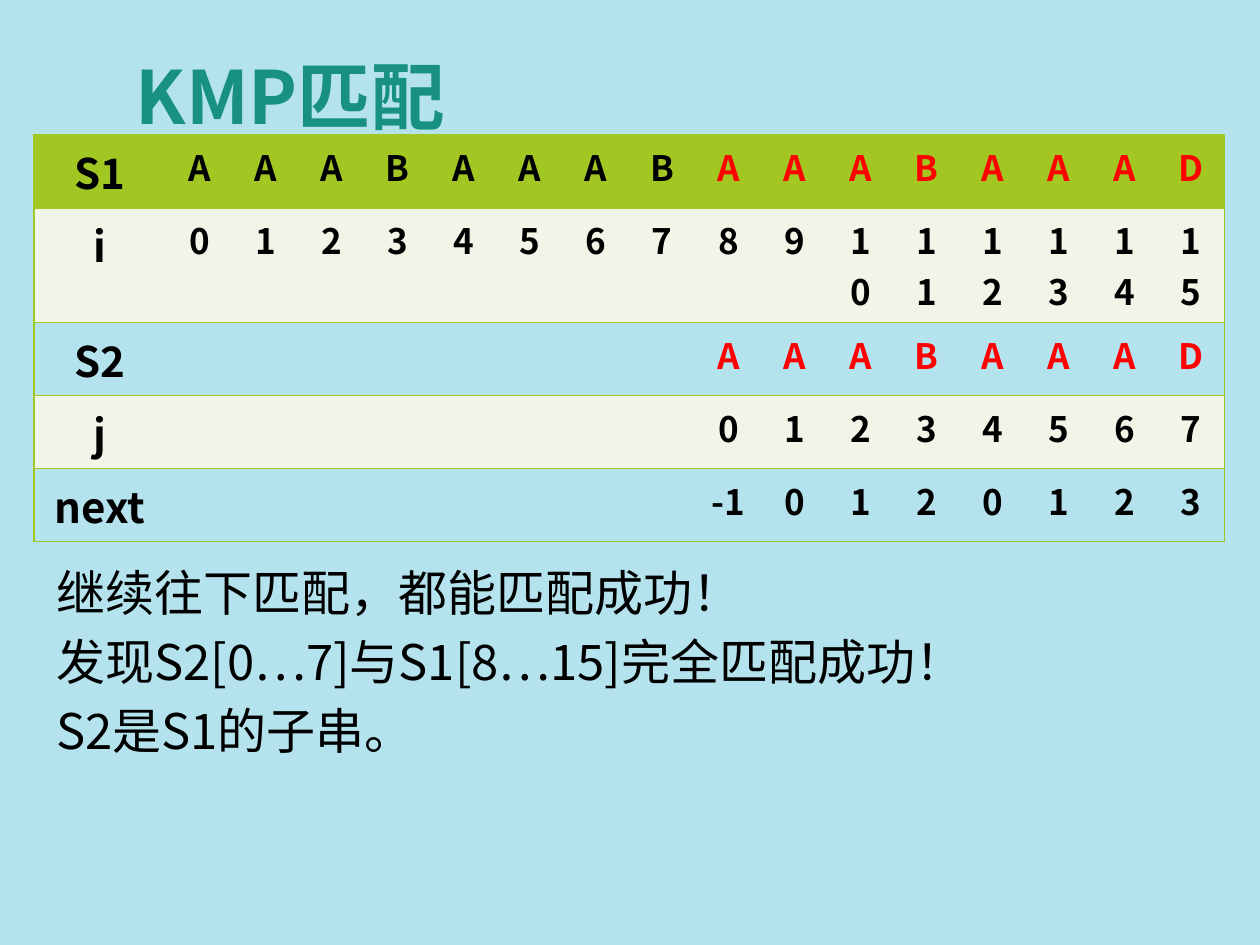
from lxml import etree
from pptx import Presentation
from pptx import util as u
from pptx.dml.color import RGBColor
from pptx.enum import text
from pptx.oxml.ns import qn

FONT = "Noto Sans CJK SC"
COLORS = {
    "background": "B4E3EE",
    "title": "189180",
    "text": "000000",
    "match": "FF0000",
    "header": "A2C722",
    "band": "F0F5E8",
}
NO_STYLE_NO_GRID = "{2D5ABB26-0587-4C30-8999-92F81FD0307C}"
MATCH_START = 8
S1 = "AAABAAABAAABAAAD"
S2 = "AAABAAAD"
NEXT = [-1, 0, 1, 2, 0, 1, 2, 3]
LEAD = [""] * MATCH_START

# label, values, fill, whether the matched part is highlighted
ROWS = [
    ("S1", list(S1), "header", True),
    ("i", range(len(S1)), "band", False),
    ("S2", LEAD + list(S2), "background", True),
    ("j", LEAD + list(range(len(S2))), "band", False),
    ("next", LEAD + NEXT, "background", False),
]
ROW_HEIGHTS = [0.58, 0.91, 0.58, 0.58, 0.58]
CONCLUSIONS = [
    "继续往下匹配，都能匹配成功！",
    "发现S2[0…7]与S1[8…15]完全匹配成功！",
    "S2是S1的子串。",
]


def rgb(name):
    return RGBColor.from_string(COLORS[name])


class SlideBuilder:
    """Holds the text style and the slide being drawn."""

    def __init__(self, slide, font):
        self.slide = slide
        self.font = font

    def background(self, color):
        fill = self.slide.background.fill
        fill.solid()
        fill.fore_color.rgb = rgb(color)

    def run(self, paragraph, words, size, color="text", bold=False):
        run = paragraph.add_run()
        run.text = words
        run.font.size = u.Pt(size)
        run.font.bold = bold
        run.font.color.rgb = rgb(color)
        run.font.name = self.font
        east_asian = etree.SubElement(run.font._element, qn("a:ea"))
        east_asian.set("typeface", self.font)

    def text_box(self, box, lines, size, color="text", bold=False,
                 anchor=text.MSO_ANCHOR.TOP, line_spacing=None):
        shape = self.slide.shapes.add_textbox(*map(u.Inches, box))
        frame = shape.text_frame
        frame.word_wrap = True
        frame.vertical_anchor = anchor
        for index, line in enumerate(lines):
            paragraph = frame.add_paragraph() if index else frame.paragraphs[0]
            if line_spacing:
                paragraph.line_spacing = u.Pt(line_spacing)
            self.run(paragraph, line, size, color, bold)

    def border(self, cell, sides, color):
        """Draw 1 pt lines on the given sides, which must be in the order L, R, T, B."""
        properties = cell._tc.get_or_add_tcPr()
        for side in sides:
            line = etree.SubElement(properties, qn("a:ln" + side), w=str(u.Pt(1)))
            fill = etree.SubElement(line, qn("a:solidFill"))
            etree.SubElement(fill, qn("a:srgbClr"), val=COLORS[color])

    def cell(self, cell, words, size, color, fill):
        cell.fill.solid()
        cell.fill.fore_color.rgb = rgb(fill)
        if words:
            paragraph = cell.text_frame.paragraphs[0]
            paragraph.alignment = text.PP_ALIGN.CENTER
            self.run(paragraph, words, size, color, bold=True)

    def match_table(self, left, top, width, rows, label_width, heights):
        last = len(rows[0][1])
        box = (left, top, width, sum(heights))
        frame = self.slide.shapes.add_table(len(rows), last + 1, *map(u.Inches, box))
        table = frame.table
        table.first_row = table.horz_banding = False
        table._tbl.tblPr.find(qn("a:tableStyleId")).text = NO_STYLE_NO_GRID

        value_width = (width - label_width) / last
        for index, column in enumerate(table.columns):
            column.width = u.Inches(value_width if index else label_width)
        for row, height in zip(table.rows, heights):
            row.height = u.Inches(height)

        for row_index, (label, values, fill, highlighted) in enumerate(rows):
            for index, value in enumerate([label, *values]):
                cell = table.cell(row_index, index)
                sides = ("L" if index == 0 else "") + ("R" if index == last else "") + "TB"
                self.border(cell, sides, "header")
                matched = highlighted and index > MATCH_START
                self.cell(cell, str(value), 20 if index else 24,
                          "match" if matched else "text", fill)


def main():
    presentation = Presentation()
    presentation.slide_width = u.Inches(10)
    presentation.slide_height = u.Inches(7.5)
    slide = presentation.slides.add_slide(presentation.slide_layouts[6])

    builder = SlideBuilder(slide, FONT)
    builder.background("background")
    builder.text_box((0.98, 0.13, 7.4, 1.25), ["KMP匹配"], 42, "title", bold=True,
                     anchor=text.MSO_ANCHOR.MIDDLE)
    builder.text_box((0.35, 4.34, 9.37, 2.79), CONCLUSIONS, 28, line_spacing=39.2)
    builder.match_table(0.27, 1.07, 9.45, ROWS, label_width=1.05, heights=ROW_HEIGHTS)
    presentation.save("out.pptx")


if __name__ == "__main__":
    main()
